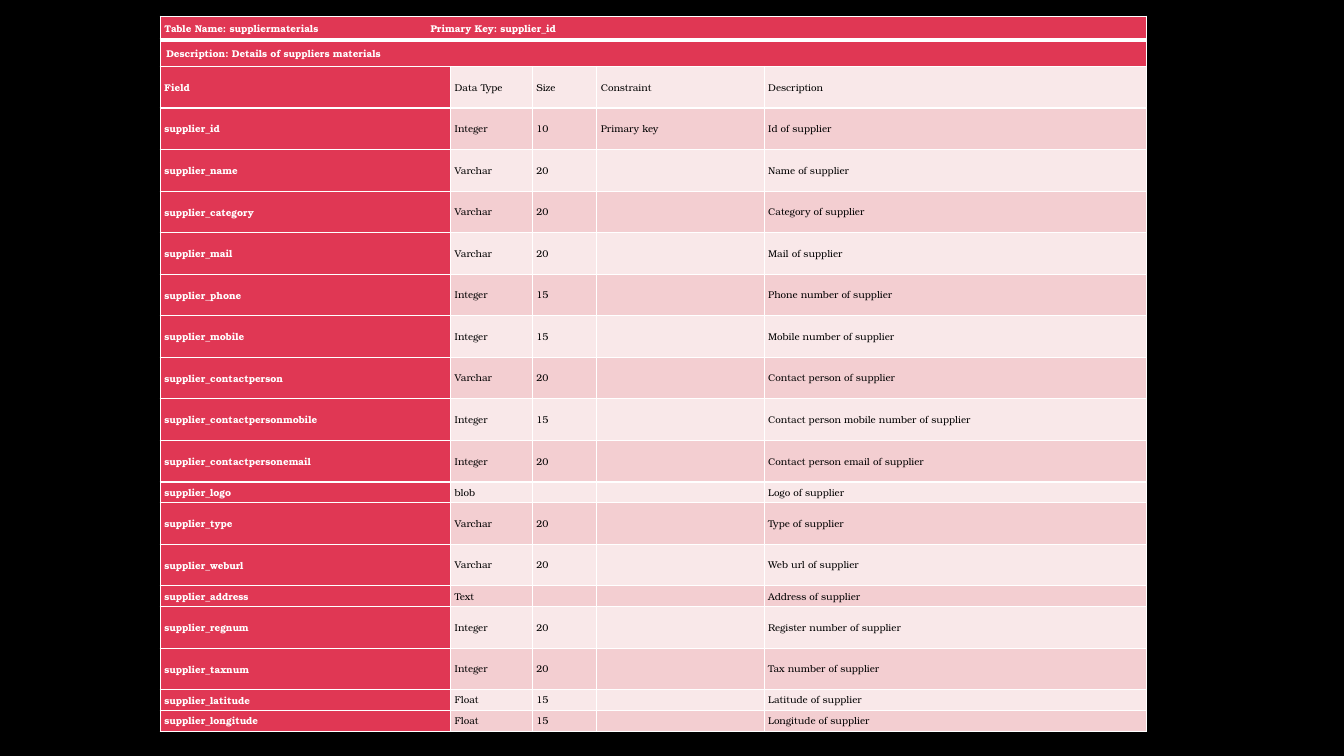
from lxml import etree
from pptx import Presentation
from pptx import util as u
from pptx.dml.color import RGBColor
from pptx.enum import text
from pptx.oxml import ns

NAME = "Table Name: suppliermaterials"
KEY = "Primary Key: supplier_id"
ABOUT = "Description: Details of suppliers materials"
HEAD = ("Field", "Data Type", "Size", "Constraint", "Description")
FIELDS = [
    ("supplier_id", "Integer", "10", "Primary key", "Id of supplier"),
    ("supplier_name", "Varchar", "20", "", "Name of supplier"),
    ("supplier_category", "Varchar", "20", "", "Category of supplier"),
    ("supplier_mail", "Varchar", "20", "", "Mail of supplier"),
    ("supplier_phone", "Integer", "15", "", "Phone number of supplier"),
    ("supplier_mobile", "Integer", "15", "", "Mobile number of supplier"),
    ("supplier_contactperson", "Varchar", "20", "", "Contact person of supplier"),
    ("supplier_contactpersonmobile", "Integer", "15", "",
     "Contact person mobile number of supplier"),
    ("supplier_contactpersonemail", "Integer", "20", "",
     "Contact person email of supplier"),
    ("supplier_logo", "blob", "", "", "Logo of supplier"),
    ("supplier_type", "Varchar", "20", "", "Type of supplier"),
    ("supplier_weburl", "Varchar", "20", "", "Web url of supplier"),
    ("supplier_address", "Text", "", "", "Address of supplier"),
    ("supplier_regnum", "Integer", "20", "", "Register number of supplier"),
    ("supplier_taxnum", "Integer", "20", "", "Tax number of supplier"),
    ("supplier_latitude", "Float", "15", "", "Latitude of supplier"),
    ("supplier_longitude", "Float", "15", "", "Longitude of supplier"),
]
SHORT = {"supplier_logo", "supplier_address", "supplier_latitude", "supplier_longitude"}

FONT = "TeX Gyre Bonum"
SIZE = u.Pt(7)
BLACK = RGBColor(0x00, 0x00, 0x00)
WHITE = RGBColor(0xFF, 0xFF, 0xFF)
RED = RGBColor(0xE0, 0x37, 0x54)
PALE = RGBColor(0xF9, 0xE8, 0xE9)
PINK = RGBColor(0xF3, 0xCE, 0xD1)

LEFT, TOP, HIGH = 1.59, 0.16, 7.1
WIDTHS = [2.88, 0.81, 0.64, 1.66, 3.79]
BARS = [0.24, 0.26]
KEY_TAB = 2.64


def add(node, tag, **attrs):
    return etree.SubElement(node, ns.qn(tag), **attrs)


def edge(cell, side, wide):
    line = add(cell._tc.get_or_add_tcPr(), "a:ln" + side, w=str(u.Pt(wide)))
    add(add(line, "a:solidFill"), "a:srgbClr", val=str(WHITE))


def write(cell, words, bold):
    para = cell.text_frame.paragraphs[0]
    if not words:
        add(para._p, "a:endParaRPr", sz=str(int(SIZE.pt * 100)))
        return
    run = para.add_run()
    run.text = words
    run.font.name = FONT
    run.font.size = SIZE
    run.font.bold = bold
    run.font.color.rgb = WHITE if bold else BLACK


def style(cell, row, fill):
    cell.margin_left = cell.margin_right = u.Inches(0.04)
    cell.margin_top = cell.margin_bottom = 0
    cell.vertical_anchor = text.MSO_ANCHOR.MIDDLE
    for side in "LRTB":
        thick = (row, side) in ((0, "B"), (1, "T"))
        edge(cell, side, 3 if thick else 1)
    cell.fill.solid()
    cell.fill.fore_color.rgb = fill


def main():
    prs = Presentation()
    prs.slide_width, prs.slide_height = u.Inches(13.33), u.Inches(7.5)
    slide = prs.slides.add_slide(prs.slide_layouts[6])
    slide.background.fill.solid()
    slide.background.fill.fore_color.rgb = BLACK

    rows = [(NAME + "\t" + KEY,), (ABOUT,), HEAD] + FIELDS
    parts = [1 if row[0] in SHORT else 2 for row in rows[2:]]
    unit = (HIGH - sum(BARS)) / sum(parts)
    heights = BARS + [unit * part for part in parts]

    frame = slide.shapes.add_table(
        len(rows), len(WIDTHS), u.Inches(LEFT), u.Inches(TOP),
        u.Inches(sum(WIDTHS)), u.Inches(HIGH))
    table = frame.table
    table.first_row = table.horz_banding = False
    for col, wide in zip(table.columns, WIDTHS):
        col.width = u.Inches(wide)
    for line, high in zip(table.rows, heights):
        line.height = u.Inches(high)

    for r, row in enumerate(rows):
        bar = len(row) == 1
        for c in range(len(WIDTHS)):
            cell = table.cell(r, c)
            red = bar or c == 0
            style(cell, r, RED if red else PINK if r % 2 else PALE)
            write(cell, row[c] if c < len(row) else "", red)
        if bar:
            table.cell(r, 0).merge(table.cell(r, len(WIDTHS) - 1))

    first, second = (
        table.cell(r, 0).text_frame.paragraphs[0]._p.get_or_add_pPr() for r in (0, 1))
    add(add(first, "a:tabLst"), "a:tab", pos=str(u.Inches(KEY_TAB)), algn="l")
    second.set("indent", str(u.Inches(0.02)))

    prs.save("out.pptx")


if __name__ == "__main__":
    main()
